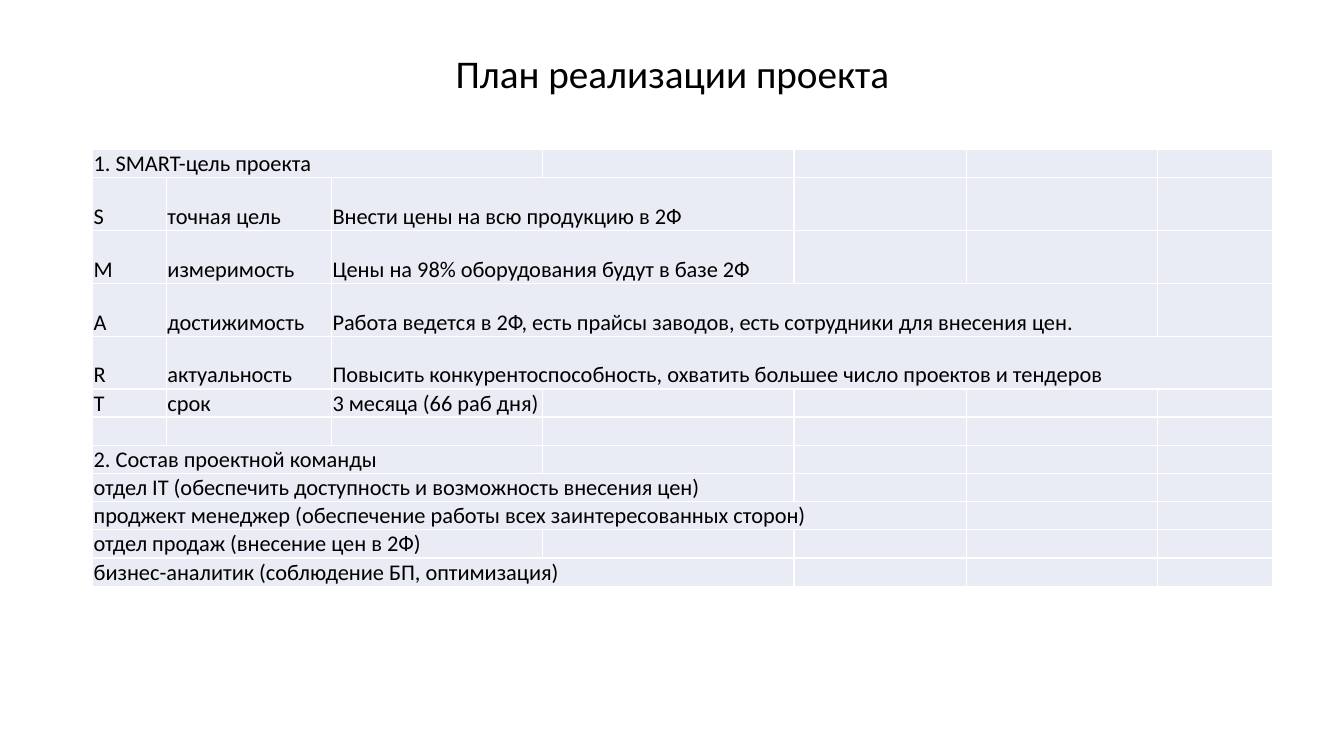
from lxml.etree import SubElement
from pptx import Presentation
from pptx.dml.color import RGBColor
from pptx.enum.text import MSO_ANCHOR as Anchor, PP_ALIGN as Align
from pptx.oxml.ns import qn
from pptx.util import Cm, Pt


def color(value):
    return RGBColor.from_string(value)


class Deck:
    font, ink, cell_fill, border = "Calibri", "000000", "E9EBF5", "FFFFFF"
    title_size, table_size = 28, 16

    def __init__(self, prs):
        self.s = prs.slides.add_slide(prs.slide_layouts[6])

    def format(self, p, size):
        for r in p.runs:
            r.font.name = self.font
            r.font.size = Pt(size)
            r.font.color.rgb = color(self.ink)

    def title(self, text, x, y, w, h):
        tf = self.s.shapes.add_textbox(Cm(x), Cm(y), Cm(w), Cm(h)).text_frame
        tf.word_wrap = True
        tf.vertical_anchor = Anchor.MIDDLE
        tf.text = text
        p = tf.paragraphs[0]
        p.alignment = Align.CENTER
        p.line_spacing = 0.9
        self.format(p, self.title_size)

    def style_cell(self, cell):
        cell.margin_left = cell.margin_right = cell.margin_top = Cm(0.02)
        cell.margin_bottom = 0
        cell.vertical_anchor = Anchor.BOTTOM
        # Borders go before the fill in the cell properties
        tc_pr = cell._tc.get_or_add_tcPr()
        for side in ("lnL", "lnR", "lnT", "lnB"):
            ln = SubElement(tc_pr, qn(f"a:{side}"), w=str(Pt(1)))
            solid = SubElement(ln, qn("a:solidFill"))
            SubElement(solid, qn("a:srgbClr"), val=self.border)
        cell.fill.solid()
        cell.fill.fore_color.rgb = color(self.cell_fill)
        p = cell.text_frame.paragraphs[0]
        self.format(p, self.table_size)
        if not p.runs:  # keeps empty cells from stretching the row
            SubElement(p._p, qn("a:endParaRPr"), sz=str(self.table_size * 100))

    def table(self, rows, x, y, widths, heights):
        tbl = self.s.shapes.add_table(len(rows), len(widths), Cm(x), Cm(y),
                                      Cm(sum(widths)), Cm(sum(heights))).table
        tbl.first_row = tbl.horz_banding = False
        for column, width in zip(tbl.columns, widths):
            column.width = Cm(width)
        for row, height in zip(tbl.rows, heights):
            row.height = Cm(height)
        # The last text of each row spans the given number of columns
        for i, (texts, span) in enumerate(rows):
            for j, text in enumerate(texts):
                tbl.cell(i, j).text = text
            if span > 1:
                last = len(texts) - 1
                tbl.cell(i, last).merge(tbl.cell(i, last + span - 1))
        for cell in tbl.iter_cells():
            self.style_cell(cell)


prs = Presentation()
prs.slide_width, prs.slide_height = Cm(33.87), Cm(19.05)
deck = Deck(prs)

# Heading
deck.title("План реализации проекта", 2.34, 1.02, 29.21, 1.78)

# Project plan: texts of the row, span of the last text
plan = [
    (["1. SMART-цель проекта"], 3),
    (["S", "точная цель", "Внести цены на всю продукцию в 2Ф"], 2),
    (["M", "измеримость", "Цены на 98% оборудования будут в базе 2Ф"], 2),
    (["A", "достижимость", "Работа ведется в 2Ф, есть прайсы заводов, "
      "есть сотрудники для внесения цен."], 4),
    (["R", "актуальность", "Повысить конкурентоспособность, "
      "охватить большее число проектов и тендеров"], 5),
    (["T", "срок", "3 месяца (66 раб дня)"], 1),
    ([], 1),
    (["2. Состав проектной команды"], 3),
    (["отдел IT (обеспечить доступность и возможность внесения цен)"], 4),
    (["проджект менеджер (обеспечение работы всех заинтересованных сторон)"], 5),
    (["отдел продаж (внесение цен в 2Ф)"], 3),
    (["бизнес-аналитик (соблюдение БП, оптимизация)"], 4),
]
low, high = 0.71, 1.33
deck.table(plan, 2.34, 3.77, [1.86, 4.16, 5.32, 6.33, 4.34, 4.82, 2.91],
           [low] + [high] * 4 + [low] * 7)

prs.save("out.pptx")
